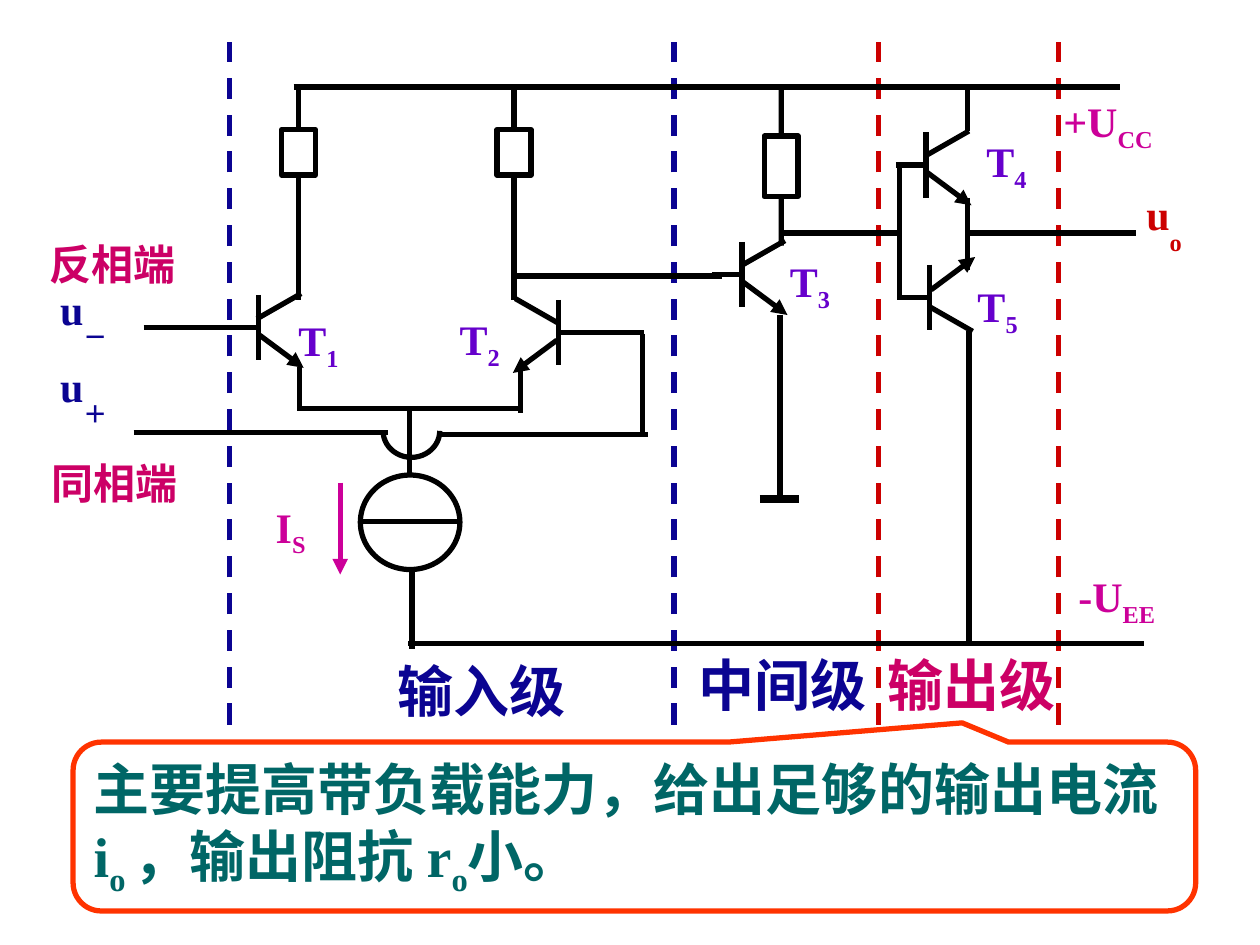
from dataclasses import dataclass

from lxml import etree
from pptx import Presentation
from pptx.dml.color import RGBColor
from pptx.enum.dml import MSO_LINE
from pptx.enum.shapes import MSO_CONNECTOR, MSO_SHAPE
from pptx.enum.text import MSO_ANCHOR, PP_ALIGN
from pptx.oxml.ns import qn
from pptx.slide import Slide
from pptx.util import Inches, Pt

BLACK, NAVY, RED, ROSE = "000000", "0B0492", "CC0000", "CC0066"
MAGENTA, VIOLET, TEAL, ORANGE = "CC0099", "6600CC", "006666", "FF3300"
RAIL_Y = 0.69
RAIL_GAP = 4.42


def rgb(value):
    return RGBColor.from_string(value)


def write(frame, parts, size, color, align=PP_ALIGN.LEFT):
    """Fill one paragraph from (text, baseline percent) pairs."""
    paragraph = frame.paragraphs[0]
    paragraph.alignment = align
    font = paragraph.font
    font.name, font.size, font.bold = "Times New Roman", Pt(size), True
    font.color.rgb = rgb(color)
    for text, baseline in parts:
        run = paragraph.add_run()
        run.text = text
        if baseline:
            run._r.get_or_add_rPr().set("baseline", str(baseline * 1000))


@dataclass
class Region:
    """Part of the slide whose contents are measured from its top left corner."""
    slide: Slide
    left: float
    top: float

    def place(self, x, y):
        return Inches(self.left + x), Inches(self.top + y)

    def wire(self, x1, y1, x2, y2, color=BLACK, width=3, arrow=False, dash=False):
        line = self.slide.shapes.add_connector(
            MSO_CONNECTOR.STRAIGHT, *self.place(x1, y1), *self.place(x2, y2))
        line.line.color.rgb = rgb(color)
        line.line.width = Pt(width)
        if dash:
            line.line.dash_style = MSO_LINE.DASH
        if arrow:
            etree.SubElement(line.line._ln, qn("a:tailEnd"), type="triangle")
        etree.SubElement(line._element.spPr, qn("a:effectLst"))
        return line

    def outline(self, kind, x, y, width, height, color=BLACK, fill=None):
        shape = self.slide.shapes.add_shape(
            kind, *self.place(x, y), Inches(width), Inches(height))
        shape.shadow.inherit = False
        if fill:
            shape.fill.solid()
            shape.fill.fore_color.rgb = rgb(fill)
        else:
            shape.fill.background()
        shape.line.color.rgb = rgb(color)
        shape.line.width = Pt(3)
        return shape

    def symbol(self, x, y, letter, index, color, drop=-25, width=0.7, height=0.55):
        box = self.slide.shapes.add_textbox(
            *self.place(x, y), Inches(width), Inches(height))
        box.text_frame.word_wrap = True
        write(box.text_frame, [(letter, 0), (index, drop)], 24, color)

    def caption(self, x, y, width, height, text, size, color):
        box = self.slide.shapes.add_textbox(
            *self.place(x, y), Inches(width), Inches(height))
        frame = box.text_frame
        frame.word_wrap = False
        frame.margin_left = frame.margin_right = frame.margin_bottom = 0
        frame.vertical_anchor = MSO_ANCHOR.MIDDLE
        write(frame, [(text, 0)], size, color, PP_ALIGN.CENTER)

    def stage_name(self, x, y, text, color):
        self.caption(x, y, 1.53, 0.59, text, 32, color)

    def transistor(self, x, y, side=1, flip=1):
        """Centre the bar on x, y; side -1 mirrors it, flip -1 turns it over."""
        self.wire(x - 0.24 * side, y, x + 0.01 * side, y)
        self.wire(x, y - 0.26, x, y + 0.26)
        self.wire(x + 0.01 * side, y + 0.06 * flip,
                  x + 0.36 * side, y + 0.32 * flip, arrow=True)
        self.wire(x - 0.01 * side, y - 0.07 * flip,
                  x + 0.34 * side, y - 0.27 * flip)

    def resistor(self, x, y, height, end_y):
        """Hang a resistor on the upper rail, with its lower lead down to end_y."""
        width = 0.27
        body = self.outline(MSO_SHAPE.RECTANGLE, x - width / 2, y, width, height)
        self.wire(x, 0, x, y).end_connect(body, 0)
        self.wire(x, y + height, x, end_y).begin_connect(body, 2)


def draw_dividers(slide, top, bottom):
    region = Region(slide, 0, top)
    for x, color in [(1.82, NAVY), (5.35, NAVY), (6.97, RED), (8.4, RED)]:
        region.wire(x, bottom - top, x, 0, color, dash=True)


def draw_rails(slide, left, top):
    rails = Region(slide, left, top)
    rails.wire(0, 0, 6.56, 0)
    rails.wire(0.91, RAIL_GAP, 6.75, RAIL_GAP)
    rails.symbol(6.01, 0.02, "+U", "CC", MAGENTA, width=1.28)
    rails.symbol(6.13, 3.79, "-U", "EE", MAGENTA, width=1.15)


def draw_current_source(slide, left, top):
    source = Region(slide, left, top)
    source.outline(MSO_SHAPE.OVAL, 0, 0, 0.79, 0.75, fill="FFFFFF")
    source.wire(-0.01, 0.37, 0.81, 0.37)
    source.wire(-0.16, 0.06, -0.16, 0.79, MAGENTA, arrow=True)
    source.symbol(-0.77, 0.16, "I", "S", MAGENTA)


def draw_input_stage(slide, left, top):
    stage = Region(slide, left, top)
    stage.transistor(1.75, 1.91)
    stage.transistor(4.13, 1.95, side=-1)
    for x in (2.07, 3.78):
        stage.resistor(x, 0.34, 0.36, 1.69)
    for ends in [
        (2.08, 2.22, 2.08, 2.57), (3.83, 2.24, 3.83, 2.59),  # emitters
        (2.07, 2.55, 3.81, 2.55), (2.95, 2.55, 2.95, 3.08),  # to the source
        (2.97, 3.83, 2.97, 4.46),                            # to the lower rail
        (0.84, 1.91, 1.64, 1.91),                            # inverting input
        (0.76, 2.74, 2.78, 2.74), (3.17, 2.76, 4.84, 2.76),  # other input
        (4.8, 1.96, 4.8, 2.78), (4.34, 1.95, 4.81, 1.95),
        (3.79, 1.5, 5.43, 1.5),                              # to the next stage
    ]:
        stage.wire(*ends)
    bridge = stage.outline(MSO_SHAPE.ARC, 2.74, 2.52, 0.45, 0.42)
    bridge.adjustments[0] = 0
    bridge.adjustments[1] = 108  # half a turn, in units of 100000/60000 degrees
    draw_current_source(slide, left + 2.56, top + 3.08)
    stage.symbol(1.97, 1.76, "T", "1", VIOLET)
    stage.symbol(3.25, 1.75, "T", "2", VIOLET)
    for y, sign in [(1.51, "－"), (2.12, "＋")]:
        stage.symbol(0.08, y, "u", sign, NAVY, drop=-50, width=1.2, height=1.33)
    stage.caption(-0.01, 1.15, 1.2, 0.45, "反相端", 24, ROSE)
    stage.caption(0.01, 2.89, 1.2, 0.45, "同相端", 24, ROSE)
    stage.stage_name(2.76, 4.47, "输入级", NAVY)


def draw_middle_stage(slide, left, top):
    stage = Region(slide, left, top)
    stage.transistor(0.54, 1.49)
    stage.resistor(0.85, 0.39, 0.48, 1.26)
    stage.wire(0.84, 1.81, 0.84, 3.27)
    stage.wire(0.68, 3.27, 0.99, 3.27, width=4.5)
    stage.wire(0.84, 1.16, 1.81, 1.16)
    stage.symbol(0.82, 1.29, "T", "3", VIOLET)
    stage.stage_name(0.1, RAIL_GAP, "中间级", NAVY)


def draw_output_stage(slide, left, top):
    stage = Region(slide, left, top)
    stage.transistor(0.38, 0.62)
    stage.transistor(0.41, 1.67, flip=-1)
    stage.wire(0.17, 0.61, 0.17, 1.69)
    for x, start, end in [(0.71, 0, 0.35), (0.71, 0.88, 1.45), (0.72, 1.94, RAIL_GAP)]:
        stage.wire(x, start, x, end)
    stage.wire(0.71, 1.16, 2.05, 1.16)
    stage.symbol(0.76, 0.34, "T", "4", VIOLET)
    stage.symbol(0.69, 1.49, "T", "5", VIOLET)
    stage.symbol(2.03, 0.76, "u", "o", RED, drop=-50, height=1.33)
    stage.stage_name(-0.02, RAIL_GAP, "输出级", ROSE)


def draw_callout(slide, left, top, width, height):
    callout = Region(slide, left, top).outline(
        MSO_SHAPE.ROUNDED_RECTANGULAR_CALLOUT, 0, 0, width, height, ORANGE)
    for index, value in enumerate((0.292, -0.614, 0.167)):
        callout.adjustments[index] = value
    callout.text_frame.word_wrap = True
    callout.text_frame.vertical_anchor = MSO_ANCHOR.MIDDLE
    write(callout.text_frame, [
        ("主要提高带负载能力，给出足够的输出电流i", 0), ("o ", -25),
        ("，输出阻抗 r", 0), ("o", -25), ("小。", 0)], 32, TEAL)


def main():
    deck = Presentation()
    deck.slide_width, deck.slide_height = Inches(10), Inches(7.5)
    slide = deck.slides.add_slide(deck.slide_layouts[6])
    draw_dividers(slide, 0.33, 5.75)
    draw_rails(slide, 2.33, RAIL_Y)
    draw_input_stage(slide, 0.3, RAIL_Y)
    draw_middle_stage(slide, 5.35, RAIL_Y)
    draw_output_stage(slide, 6.97, RAIL_Y)
    draw_callout(slide, 0.58, 5.89, 8.91, 1.34)
    deck.save("out.pptx")


if __name__ == "__main__":
    main()
